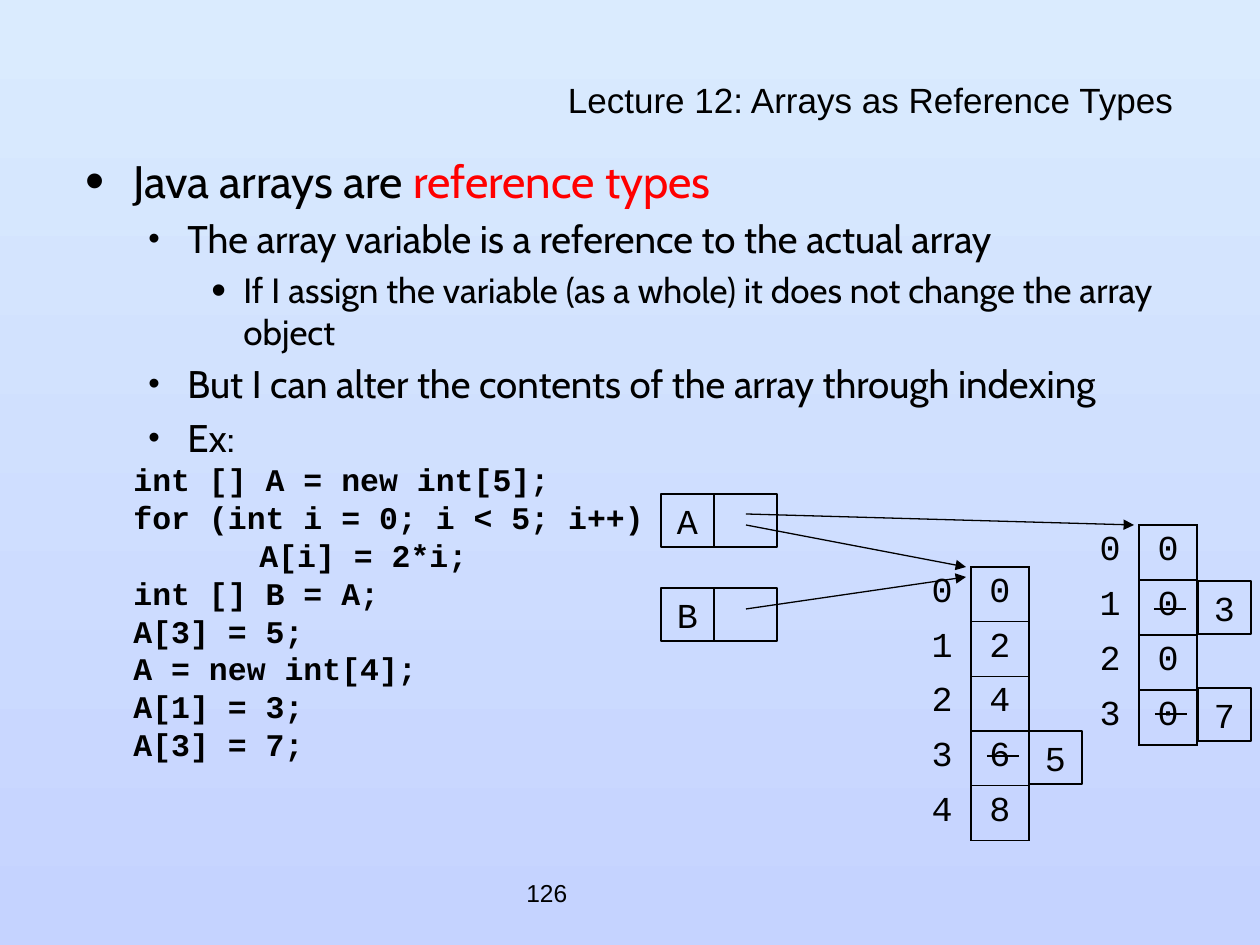
from lxml.etree import SubElement
from pptx import Presentation
from pptx.dml.color import RGBColor
from pptx.enum.shapes import MSO_CONNECTOR as Connector, MSO_SHAPE as Shape
from pptx.enum.text import MSO_ANCHOR as Anchor, MSO_AUTO_SIZE as AutoSize, PP_ALIGN as Align
from pptx.oxml.ns import qn
from pptx.util import Emu, Pt

COLORS = {"ink": "000000", "accent": "FF0000", "sky": "DAEBFE", "lavender": "C5D3FF"}
CODE_FONT = "Courier New"
CELL = 53
COLUMN = 58
LEVELS = [(48, 48, 26, 120), (102, 39, 22, 85), (158, 32, 20, 120)]
BULLETS = [
    (0, ["Java arrays are ", "reference types"]),
    (1, ["The array variable is a reference to the actual array"]),
    (2, ["If I assign the variable (as a whole) it does not change the array object"]),
    (1, ["But I can alter the contents of the array through indexing"]),
    (1, ["Ex:"]),
]
CODE = [
    (0, "int [] A = new int[5];"),
    (0, "for (int i = 0; i < 5; i++)"),
    (1, "A[i] = 2*i;"),
    (0, "int [] B = A;"),
    (0, "A[3] = 5;"),
    (0, "A = new int[4];"),
    (0, "A[1] = 3;"),
    (0, "A[3] = 7;"),
]


def px(length):
    return Emu(round(length * 914400 / 126))


def color(name):
    return RGBColor.from_string(COLORS[name])


def style(para, size, font, bold=False):
    para.font.size = Pt(size)
    para.font.name = font
    para.font.bold = bold
    para.font.color.rgb = color("ink")


def indent(para, left, hanging=0):
    properties = para._p.get_or_add_pPr()
    properties.set("marL", str(px(left)))
    properties.set("indent", str(-px(hanging)))
    return properties


def paint_background(page):
    fill = page.background.fill
    fill.gradient()
    fill.gradient_angle = 270
    for stop, name, position in zip(fill.gradient_stops, ("sky", "lavender"), (0, 1)):
        stop.color.rgb = color(name)
        stop.position = position


def set_title(page, text):
    title = page.shapes.title
    title.left, title.top, title.width, title.height = map(px, (73, 84, 1113, 42))
    frame = title.text_frame
    frame.text = text
    frame.auto_size = AutoSize.NONE
    frame.vertical_anchor = Anchor.MIDDLE
    para = frame.paragraphs[0]
    para.alignment = Align.RIGHT
    para.line_spacing = 0.7
    style(para, 20, "Arial")


def add_text_box(page, *area):
    frame = page.shapes.add_textbox(*map(px, area)).text_frame
    frame.word_wrap = True
    return frame


def write_bullet(para, level, texts):
    left, hanging, size, percent = LEVELS[level]
    para.level = level
    properties = indent(para, left, hanging)
    bullet_color = SubElement(properties, qn("a:buClr"))
    SubElement(bullet_color, qn("a:srgbClr"), val=COLORS["ink"])
    SubElement(properties, qn("a:buSzPct"), val=str(percent * 1000))
    SubElement(properties, qn("a:buFont"), typeface="Arial")
    SubElement(properties, qn("a:buChar"), char="•")
    for text in texts:
        span = para.add_run()
        span.text = text
    if len(texts) > 1:
        span.font.color.rgb = color("accent")
    style(para, size, "Cabin")
    return size


def add_body(page):
    frame = add_text_box(page, 73, 147, 1124, 714)
    for number, (level, texts) in enumerate(BULLETS):
        para = frame.add_paragraph() if number else frame.paragraphs[0]
        size = write_bullet(para, level, texts)
        if number:
            para.space_before = Pt(size * 0.2)
    for depth, text in CODE:
        para = frame.add_paragraph()
        para.text = text
        indent(para, 48 + 126 * depth)
        para.line_spacing = Pt(21.6)
        style(para, 18, CODE_FONT, bold=True)


def add_box(page, left, top, width=CELL, text=""):
    box = page.shapes.add_shape(Shape.RECTANGLE, *map(px, (left, top, width, CELL)))
    box.shadow.inherit = False
    box.fill.background()
    box.line.color.rgb = color("ink")
    box.line.width = Pt(0.75)
    if text:
        frame = box.text_frame
        frame.text = text
        frame.word_wrap = False
        frame.vertical_anchor = Anchor.MIDDLE
        frame.paragraphs[0].alignment = Align.CENTER
        style(frame.paragraphs[0], 20, CODE_FONT)


def add_variable(page, name, top):
    add_box(page, 661, top, text=name)
    add_box(page, 661 + CELL, top, 63)


def add_line(page, start, end, width=1.25, arrow=False):
    line = page.shapes.add_connector(Connector.STRAIGHT, *map(px, start + end))
    line.line.color.rgb = color("ink")
    line.line.width = Pt(width)
    if arrow:
        SubElement(line.line._get_or_add_ln(), qn("a:tailEnd"), type="triangle")
    SubElement(line._element.spPr, qn("a:effectLst"))


def set_borders(cell, visible):
    properties = cell._tc.get_or_add_tcPr()
    for side in ("L", "R", "T", "B"):
        border = SubElement(properties, qn("a:ln" + side), w=str(Pt(1)))
        if side in visible:
            fill = SubElement(border, qn("a:solidFill"))
            SubElement(fill, qn("a:srgbClr"), val=COLORS["ink"])
        else:
            SubElement(border, qn("a:noFill"))


def add_array(page, left, top, row_height, values):
    area = map(px, (left, top, 2 * COLUMN, row_height * len(values)))
    table = page.shapes.add_table(len(values), 2, *area).table
    table.first_row = table.horz_banding = False
    for index, value in enumerate(values):
        table.rows[index].height = px(row_height)
        for column, (number, sides) in enumerate(((index, "R"), (value, "LRTB"))):
            cell = table.cell(index, column)
            cell.text = str(number)
            para = cell.text_frame.paragraphs[0]
            para.alignment = Align.CENTER
            style(para, 20, CODE_FONT)
            set_borders(cell, sides)
            cell.fill.background()


def main():
    deck = Presentation()
    deck.slide_width, deck.slide_height = px(1260), px(945)
    page = deck.slides.add_slide(deck.slide_layouts[5])
    paint_background(page)
    set_title(page, "Lecture 12: Arrays as Reference Types")
    add_body(page)
    number = add_text_box(page, 514, 861, 262, 63)
    number.text = "126"
    number.vertical_anchor = Anchor.MIDDLE
    style(number.paragraphs[0], 14, "Arial")

    add_variable(page, "A", 494)
    add_variable(page, "B", 588)
    add_array(page, 913, 567, 52, [0, 2, 4, 6, 8])
    add_array(page, 1081, 525, 55, [0, 0, 0, 0])
    for start, end in (((746, 525), (966, 567)), ((746, 609), (966, 577)),
                       ((746, 514), (1134, 525))):
        add_line(page, start, end, 0.75, arrow=True)
    for left, top, text in ((1029, 731, "5"), (1198, 581, "3"), (1198, 688, "7")):
        add_box(page, left, top, text=text)
    for left, top in ((987, 756), (1154, 609), (1155, 714)):
        add_line(page, (left, top), (left + 32, top))
    deck.save("out.pptx")


if __name__ == "__main__":
    main()
